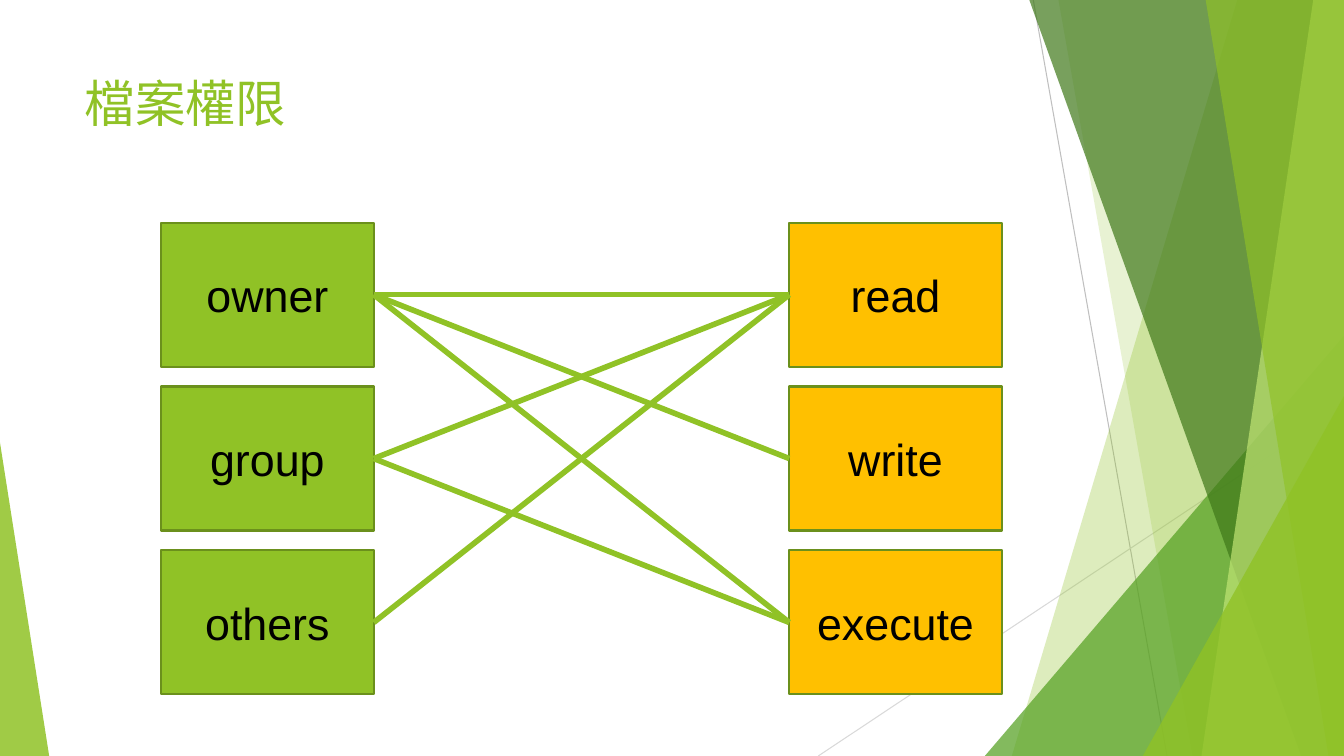
from lxml.etree import SubElement
from pptx import Presentation
from pptx.dml.color import RGBColor
from pptx.enum.shapes import MSO_CONNECTOR, MSO_SHAPE
from pptx.enum.text import MSO_ANCHOR, PP_ALIGN
from pptx.oxml.ns import qn
from pptx.util import Cm, Pt


def paint(color, value, opacity=100):
    """Set a colour from a hex string, with opacity in percent."""
    color.rgb = RGBColor.from_string(value)
    if opacity < 100:
        clr = color._xFill.find(qn("a:srgbClr"))
        SubElement(clr, qn("a:alpha"), val=str(opacity * 1000))


def add_line(shapes, ends, value, width):
    c = shapes.add_connector(MSO_CONNECTOR.STRAIGHT, *[Cm(v) for v in ends])
    paint(c.line.color, value)
    c.line.width = Pt(width)
    SubElement(c.element.spPr, qn("a:effectLst"))
    return c


GREEN = "90C226"
WIDTH, HEIGHT = 33.87, 19.05

prs = Presentation()
prs.slide_width, prs.slide_height = Cm(WIDTH), Cm(HEIGHT)
s = prs.slides.add_slide(prs.slide_layouts[5])

# Thin background lines
add_line(s.shapes, (26.04, 0, 29.41, HEIGHT), "BFBFBF", 0.75)
add_line(s.shapes, (WIDTH, 10.24, 20.62, HEIGHT), "D9D9D9", 0.75)

# Translucent facets, back to front
# band: top-left x, bottom-left x; triangle: left, top, width, apex
facets = [
    ("band", (31.19, 25.5), GREEN, 30),
    ("band", (26.67, 30.05), GREEN, 20),
    ("triangle", (24.82, 8.46, 9.05, 1), "54A021", 72),
    ("band", (25.93, 32.79), "3F7819", 70),
    ("band", (33.1, 30.28), "C0E474", 70),
    ("band", (30.38, 33.48), GREEN, 65),
    ("triangle", (28.8, 9.98, 5.07, 1), GREEN, 80),
    ("triangle", (0, 11.15, 1.24, 0), GREEN, 85),
]
for kind, geometry, value, opacity in facets:
    if kind == "band":
        top_x, bottom_x = geometry
        fb = s.shapes.build_freeform(Cm(top_x), Cm(-0.03))
        corners = [(WIDTH, -0.03), (WIDTH, HEIGHT), (bottom_x, HEIGHT)]
        fb.add_line_segments([(Cm(x), Cm(y)) for x, y in corners])
        sp = fb.convert_to_shape()
    else:
        left, top, width, apex = geometry
        sp = s.shapes.add_shape(MSO_SHAPE.ISOSCELES_TRIANGLE, Cm(left), Cm(top),
                                Cm(width), Cm(HEIGHT - top))
        sp.adjustments[0] = apex
    sp.shadow.inherit = False
    sp.line.fill.background()
    sp.fill.solid()
    paint(sp.fill.fore_color, value, opacity)

# Title, in front of the facets
title = s.shapes.title
s.shapes.element.append(title.element)
box = {"left": 1.88, "top": 1.7, "width": 23.88, "height": 3.66}
for name, value in box.items():
    setattr(title, name, Cm(value))
tf = title.text_frame
tf.text = "檔案權限"
tf.vertical_anchor = MSO_ANCHOR.TOP
p = tf.paragraphs[0]
p.alignment = PP_ALIGN.LEFT
r = p.runs[0]
for name, value in {"name": "Lato", "size": Pt(36)}.items():
    setattr(r.font, name, value)
paint(r.font.color, GREEN)

# Columns of users and permissions
columns = [
    (4.06, GREEN, ["owner", "group", "others"]),
    (19.89, "FFC000", ["read", "write", "execute"]),
]
label_font = {"name": "Arial", "size": Pt(32)}
boxes = {}
for left, fill, labels in columns:
    for row, label in enumerate(labels):
        sp = s.shapes.add_shape(MSO_SHAPE.RECTANGLE, Cm(left),
                                Cm(5.61 + row * 4.13), Cm(5.36), Cm(3.63))
        sp.shadow.inherit = False
        sp.fill.solid()
        paint(sp.fill.fore_color, fill)
        paint(sp.line.color, "6B901C")
        sp.line.width = Pt(1.5)
        tf = sp.text_frame
        tf.vertical_anchor = MSO_ANCHOR.MIDDLE
        p = tf.paragraphs[0]
        p.alignment = PP_ALIGN.CENTER
        r = p.add_run()
        r.text = label
        for name, value in label_font.items():
            setattr(r.font, name, value)
        paint(r.font.color, "000000")
        boxes[label] = sp

# Links from each user to the permissions granted
grants = {
    "owner": ["read", "write", "execute"],
    "group": ["read", "execute"],
    "others": ["read"],
}
for user, permissions in grants.items():
    for permission in permissions:
        c = add_line(s.shapes, (0, 0, 0, 0), GREEN, 4)
        c.begin_connect(boxes[user], 3)
        c.end_connect(boxes[permission], 1)

prs.save("out.pptx")
